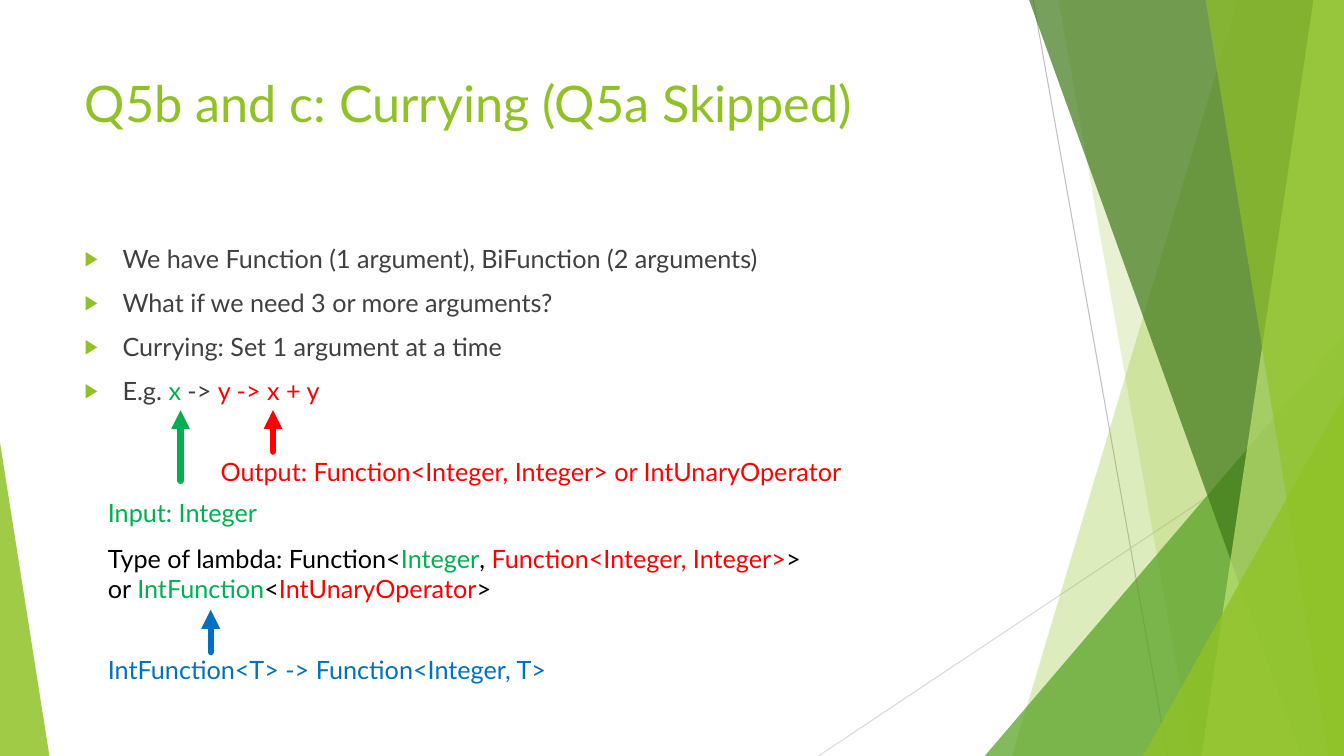
import pptx
import pptx.util
import pptx.dml.color
import pptx.enum.shapes
import pptx.enum.text
import pptx.oxml
import pptx.oxml.ns

Pt = pptx.util.Pt
SHAPE = pptx.enum.shapes.MSO_SHAPE
ANCHOR = pptx.enum.text.MSO_ANCHOR
FIT = pptx.enum.text.MSO_AUTO_SIZE
LEFT = pptx.enum.text.PP_ALIGN.LEFT
STRAIGHT = pptx.enum.shapes.MSO_CONNECTOR.STRAIGHT

W, H = 960, 540
FONT = "Lato"
COLORS = {
    "lime": "90C226", "leaf": "54A021", "forest": "3F7819", "pale": "C0E474",
    "gray": "404040", "rule": "BFBFBF", "faint": "D9D9D9", "black": "000000",
    "green": "00B050", "red": "FF0000", "blue": "0070C0",
}


def rgb(name):
    return pptx.dml.color.RGBColor.from_string(COLORS[name])


def add_xml(parent, xml):
    """Append an empty DrawingML element."""
    ns = pptx.oxml.ns.nsdecls("a")
    parent.append(pptx.oxml.parse_xml(xml.replace("/>", f" {ns}/>")))


def paint(sp, color, opacity):
    sp.shadow.inherit = False
    sp.line.fill.background()
    sp.fill.solid()
    sp.fill.fore_color.rgb = rgb(color)
    clr = sp._element.spPr.find(".//" + pptx.oxml.ns.qn("a:srgbClr"))
    add_xml(clr, f'<a:alpha val="{opacity * 1000}"/>')


def add_facet(s, top_x, bottom_x, color, opacity):
    """Band between a slanted left edge and the right slide edge."""
    fb = s.shapes.build_freeform(Pt(top_x), 0)
    fb.add_line_segments([(Pt(W), 0), (Pt(W), Pt(H)), (Pt(bottom_x), Pt(H))])
    paint(fb.convert_to_shape(), color, opacity)


def add_corner(s, x, y, w, apex, color, opacity):
    """Triangle standing on the bottom slide edge."""
    sp = s.shapes.add_shape(SHAPE.ISOSCELES_TRIANGLE, Pt(x), Pt(y), Pt(w), Pt(H - y))
    sp.adjustments[0] = apex
    paint(sp, color, opacity)


def add_line(s, x1, y1, x2, y2, color, width):
    cxn = s.shapes.add_connector(STRAIGHT, Pt(x1), Pt(y1), Pt(x2), Pt(y2))
    cxn.line.color.rgb = rgb(color)
    cxn.line.width = Pt(width)
    add_xml(cxn._element.spPr, "<a:effectLst/>")
    return cxn


def add_arrow(s, x, bottom, top, color):
    cxn = add_line(s, x, bottom, x, top, color, 4.5)
    ln = cxn._element.spPr.find(pptx.oxml.ns.qn("a:ln"))
    ln.set("cap", "rnd")
    add_xml(ln, "<a:round/>")
    add_xml(ln, '<a:tailEnd type="triangle"/>')


def add_runs(p, runs, size=18):
    for text, color in runs:
        if text == "\n":
            p.add_line_break()
            continue
        r = p.add_run()
        r.text = text
        r.font.name = FONT
        r.font.size = Pt(size)
        r.font.color.rgb = rgb(color)


def add_note(s, x, y, w, h, *runs):
    tf = s.shapes.add_textbox(Pt(x), Pt(y), Pt(w), Pt(h)).text_frame
    tf.word_wrap = False
    tf.auto_size = FIT.SHAPE_TO_FIT_TEXT
    add_runs(tf.paragraphs[0], runs)


def place(sp, x, y, w, h):
    """Move a placeholder and return its text frame, set to the top."""
    sp.left, sp.top, sp.width, sp.height = Pt(x), Pt(y), Pt(w), Pt(h)
    tf = sp.text_frame
    tf.word_wrap = True
    tf.auto_size = FIT.NONE
    tf.vertical_anchor = ANCHOR.TOP
    return tf


def add_bullets(tf, items):
    for i, runs in enumerate(items):
        p = tf.paragraphs[0] if i == 0 else tf.add_paragraph()
        p.alignment = LEFT
        p.space_before = Pt(10)
        pPr = p._p.get_or_add_pPr()
        pPr.set("marL", str(Pt(27)))
        pPr.set("indent", str(-Pt(27)))
        pPr.append(pptx.oxml.parse_xml(
            f'<a:buClr {pptx.oxml.ns.nsdecls("a")}>'
            f'<a:srgbClr val="{COLORS["lime"]}"/></a:buClr>'))
        add_xml(pPr, '<a:buSzPct val="80000"/>')
        add_xml(pPr, '<a:buChar char="▶"/>')
        add_runs(p, runs)


def add_backdrop(s):
    add_line(s, 738, 0, 834, H, "rule", 0.75)
    add_line(s, W, 290, 584.6, H, "faint", 0.75)
    add_facet(s, 884.2, 722.9, "lime", 30)
    add_facet(s, 756, 851.8, "lime", 20)
    add_corner(s, 703.4, 239.8, W - 703.4, 1, "leaf", 72)
    add_facet(s, 735.1, 929.5, "forest", 70)
    add_facet(s, 938.2, 858.2, "pale", 70)
    add_facet(s, 861.1, 949, "lime", 65)
    add_corner(s, 816.5, 283, W - 816.5, 1, "lime", 80)
    add_corner(s, 0, 316, 35.3, 0, "lime", 85)


def main():
    prs = pptx.Presentation()
    prs.slide_width, prs.slide_height = Pt(W), Pt(H)
    s = prs.slides.add_slide(prs.slide_layouts[1])
    add_backdrop(s)

    # Title and list, in front of the backdrop
    title, body = s.shapes.title, s.placeholders[1]
    for sp in (title, body):
        s.shapes._spTree.append(sp._element)
    p = place(title, 53.3, 48, 677, 104).paragraphs[0]
    p.alignment = LEFT
    add_runs(p, [("Q5b and c: Currying (Q5a Skipped)", "lime")], 36)
    add_bullets(place(body, 53.3, 170, 677, 305.5), [
        [("We have Function (1 argument), BiFunction (2 arguments)", "gray")],
        [("What if we need 3 or more arguments?", "gray")],
        [("Currying: Set 1 argument at a time", "gray")],
        [("E.g. ", "gray"), ("x", "green"), (" -> ", "gray"), ("y -> x + y", "red")],
    ])

    # Input and output of the lambda
    add_note(s, 70, 352, 127.5, 29, ("Input: Integer", "green"))
    add_arrow(s, 129, 343.5, 293, "green")
    add_note(s, 150.5, 322.6, 469.5, 29,
             ("Output: Function<Integer, Integer> or IntUnaryOperator", "red"))
    add_arrow(s, 195, 322.6, 293, "red")

    # Type of the lambda
    add_note(s, 70, 384.5, 525, 51,
             ("Type of lambda: Function<", "black"), ("Integer", "green"),
             (", ", "black"), ("Function<Integer, Integer>", "red"),
             (">", "black"), ("\n", None), ("or ", "black"),
             ("IntFunction", "green"), ("<", "black"),
             ("IntUnaryOperator", "red"), (">", "black"))
    add_note(s, 70, 463.7, 332, 29,
             ("IntFunction<T> -> Function<Integer, T>", "blue"))
    add_arrow(s, 150.5, 465.8, 435.6, "blue")

    prs.save("out.pptx")


if __name__ == "__main__":
    main()
